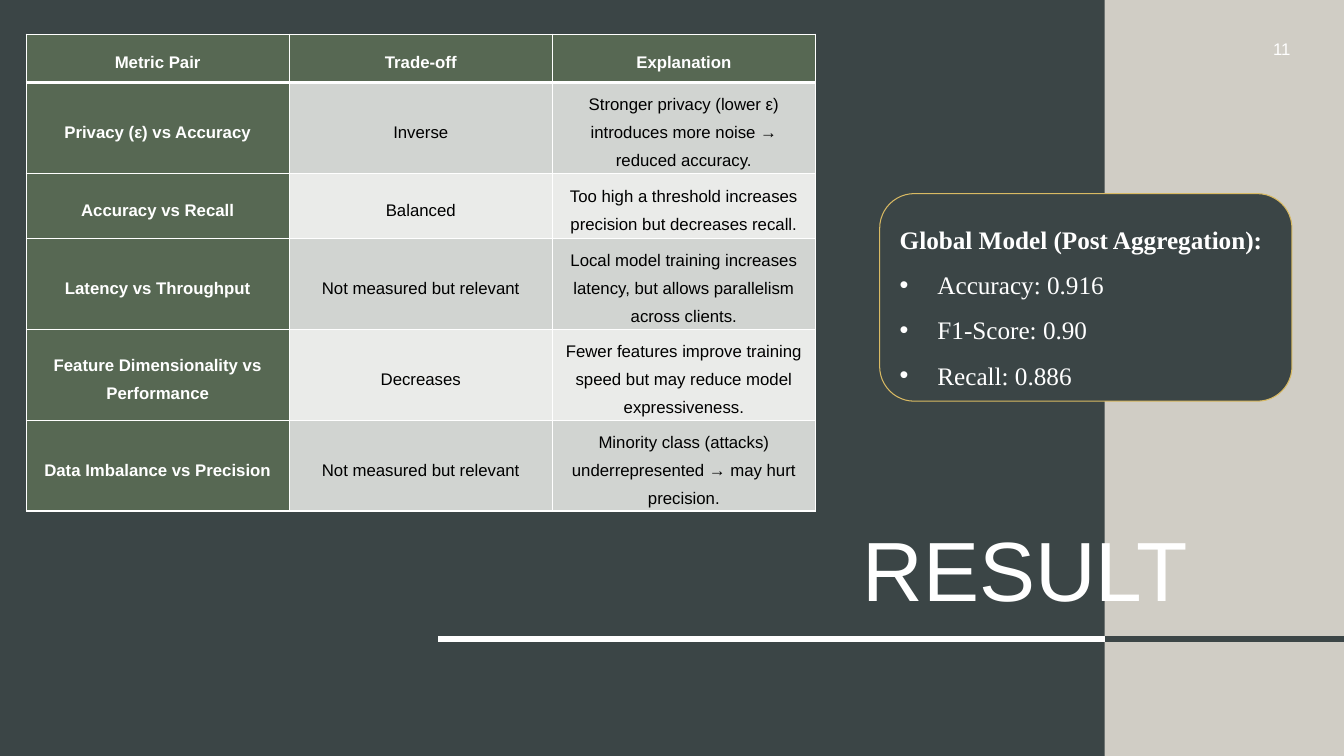
from dataclasses import dataclass

import pptx
import pptx.dml.color
import pptx.enum.shapes
import pptx.enum.text
import pptx.oxml.ns
import pptx.util
from lxml import etree

Cm, Pt = pptx.util.Cm, pptx.util.Pt
ALIGN = pptx.enum.text.PP_ALIGN
ANCHOR = pptx.enum.text.MSO_ANCHOR
SHAPE = pptx.enum.shapes.MSO_SHAPE
qn = pptx.oxml.ns.qn

COLORS = {
    "sand": "D0CDC5", "slate": "3B4546", "white": "FFFFFF", "black": "000000",
    "gold": "D9BA63", "green": "576853", "band_dark": "D1D4D1", "band_light": "EAEBE9",
}
SLIDE_W, SLIDE_H, PANEL_W = 33.87, 19.05, 27.84


@dataclass
class Rule:
    x1: float
    x2: float
    color: str


@dataclass
class Label:
    text: str
    x: float
    y: float
    w: float
    h: float
    size: int
    align: ALIGN
    anchor: ANCHOR
    spacing: float


@dataclass
class Tradeoff:
    pair: str
    effect: str
    explanation: str
    height: float


RULES = [Rule(11.05, PANEL_W, "white"), Rule(PANEL_W, SLIDE_W, "slate")]
RULE_Y = 16.1
LABELS = [
    Label("RESULT", 21.49, 13.39, 8.97, 2.31, 60, ALIGN.LEFT, ANCHOR.BOTTOM, 0.8),
    Label("11", 28.12, 0.84, 4.65, 0.76, 12, ALIGN.RIGHT, ANCHOR.MIDDLE, 1.0),
]
SCORES = ["Accuracy: 0.916", "F1-Score: 0.90", "Recall: 0.886"]
ROWS = [
    Tradeoff("Metric Pair", "Trade-off", "Explanation", 1.22),
    Tradeoff("Privacy (ε) vs Accuracy", "Inverse",
             "Stronger privacy (lower ε) introduces more noise → reduced accuracy.", 2.03),
    Tradeoff("Accuracy vs Recall", "Balanced",
             "Too high a threshold increases precision but decreases recall.", 1.65),
    Tradeoff("Latency vs Throughput", "Not measured but relevant",
             "Local model training increases latency, but allows parallelism across clients.", 2.21),
    Tradeoff("Feature Dimensionality vs Performance", "Decreases",
             "Fewer features improve training speed but may reduce model expressiveness.", 2.21),
    Tradeoff("Data Imbalance vs Precision", "Not measured but relevant",
             "Minority class (attacks) underrepresented → may hurt precision.", 2.03),
]


def rgb(name: str) -> pptx.dml.color.RGBColor:
    return pptx.dml.color.RGBColor.from_string(COLORS[name])


def style(p, font: str, size: int, color: str, align: ALIGN, spacing: float,
          bold: bool = False) -> None:
    p.alignment, p.line_spacing = align, spacing
    p.font.name, p.font.size, p.font.bold = font, Pt(size), bold
    p.font.color.rgb = rgb(color)


def add_box(s, kind: SHAPE, x: float, y: float, w: float, h: float):
    sp = s.shapes.add_shape(kind, Cm(x), Cm(y), Cm(w), Cm(h))
    sp.shadow.inherit = False
    sp.fill.solid()
    sp.fill.fore_color.rgb = rgb("slate")
    sp.line.fill.background()
    return sp


def add_rule(s, rule: Rule) -> None:
    line = s.shapes.add_connector(pptx.enum.shapes.MSO_CONNECTOR.STRAIGHT,
                                  Cm(rule.x1), Cm(RULE_Y), Cm(rule.x2), Cm(RULE_Y))
    line.line.color.rgb = rgb(rule.color)
    line.line.width = Pt(4.5)
    etree.SubElement(line._element.spPr, qn("a:effectLst"))


def add_label(s, label: Label) -> None:
    tf = s.shapes.add_textbox(Cm(label.x), Cm(label.y), Cm(label.w), Cm(label.h)).text_frame
    tf.word_wrap = True
    tf.vertical_anchor = label.anchor
    tf.text = label.text
    style(tf.paragraphs[0], "Arial", label.size, "white", label.align, label.spacing)


def add_score_card(s) -> None:
    sp = add_box(s, SHAPE.ROUNDED_RECTANGLE, 22.17, 4.88, 10.39, 5.23)
    sp.line.color.rgb = rgb("gold")
    sp.line.width = Pt(0.75)
    tf = sp.text_frame
    tf.word_wrap = True
    tf.auto_size = pptx.enum.text.MSO_AUTO_SIZE.SHAPE_TO_FIT_TEXT
    tf.vertical_anchor = ANCHOR.TOP
    tf.text = "\n".join(["Global Model (Post Aggregation):"] + SCORES)
    for i, p in enumerate(tf.paragraphs):
        style(p, "Times New Roman", 18, "white", ALIGN.JUSTIFY, 1.5, bold=i == 0)
        if i > 0:
            add_bullet(p, 0.95)


def add_bullet(p, indent: float) -> None:
    pPr = p._p.get_or_add_pPr()
    pPr.set("marL", str(Cm(indent)))
    pPr.set("indent", str(-Cm(indent)))
    bullet_font = etree.Element(qn("a:buFont"), typeface="Arial")
    bullet = etree.Element(qn("a:buChar"), char="•")
    pPr.find(qn("a:defRPr")).addprevious(bullet_font)
    bullet_font.addnext(bullet)


def add_border(cell, side: str, width: float) -> None:
    ln = etree.SubElement(cell._tc.get_or_add_tcPr(), qn(f"a:ln{side}"), w=str(Pt(width)))
    fill = etree.SubElement(ln, qn("a:solidFill"))
    etree.SubElement(fill, qn("a:srgbClr"), val=COLORS["white"])


def add_tradeoff_table(s) -> None:
    col_w = 6.63
    table = s.shapes.add_table(len(ROWS), 3, Cm(0.66), Cm(0.86), Cm(3 * col_w),
                               Cm(sum(row.height for row in ROWS))).table
    for col in table.columns:
        col.width = Cm(col_w)
    for i, row in enumerate(ROWS):
        table.rows[i].height = Cm(row.height)
        for j, text in enumerate((row.pair, row.effect, row.explanation)):
            cell = table.cell(i, j)
            heading = i == 0 or j == 0
            for side in "LRTB":
                under_header = (i, side) in ((0, "B"), (1, "T"))
                add_border(cell, side, 3 if under_header else 1)
            cell.fill.solid()
            cell.fill.fore_color.rgb = rgb(
                "green" if heading else "band_dark" if i % 2 else "band_light")
            cell.margin_left = cell.margin_right = Cm(0.18)
            cell.margin_top = cell.margin_bottom = 0
            cell.vertical_anchor = ANCHOR.MIDDLE
            cell.text = text
            style(cell.text_frame.paragraphs[0], "Arial", 12,
                  "white" if heading else "black", ALIGN.CENTER, 1.5, bold=heading)


def main() -> None:
    prs = pptx.Presentation()
    prs.slide_width, prs.slide_height = Cm(SLIDE_W), Cm(SLIDE_H)
    s = prs.slides.add_slide(prs.slide_layouts[6])

    # Background, panel and rules
    s.background.fill.solid()
    s.background.fill.fore_color.rgb = rgb("sand")
    add_box(s, SHAPE.RECTANGLE, 0, 0, PANEL_W, SLIDE_H)
    for rule in RULES:
        add_rule(s, rule)

    # Title and page number
    for label in LABELS:
        add_label(s, label)

    # Scores and trade-offs
    add_score_card(s)
    add_tradeoff_table(s)
    prs.save("out.pptx")


if __name__ == "__main__":
    main()
